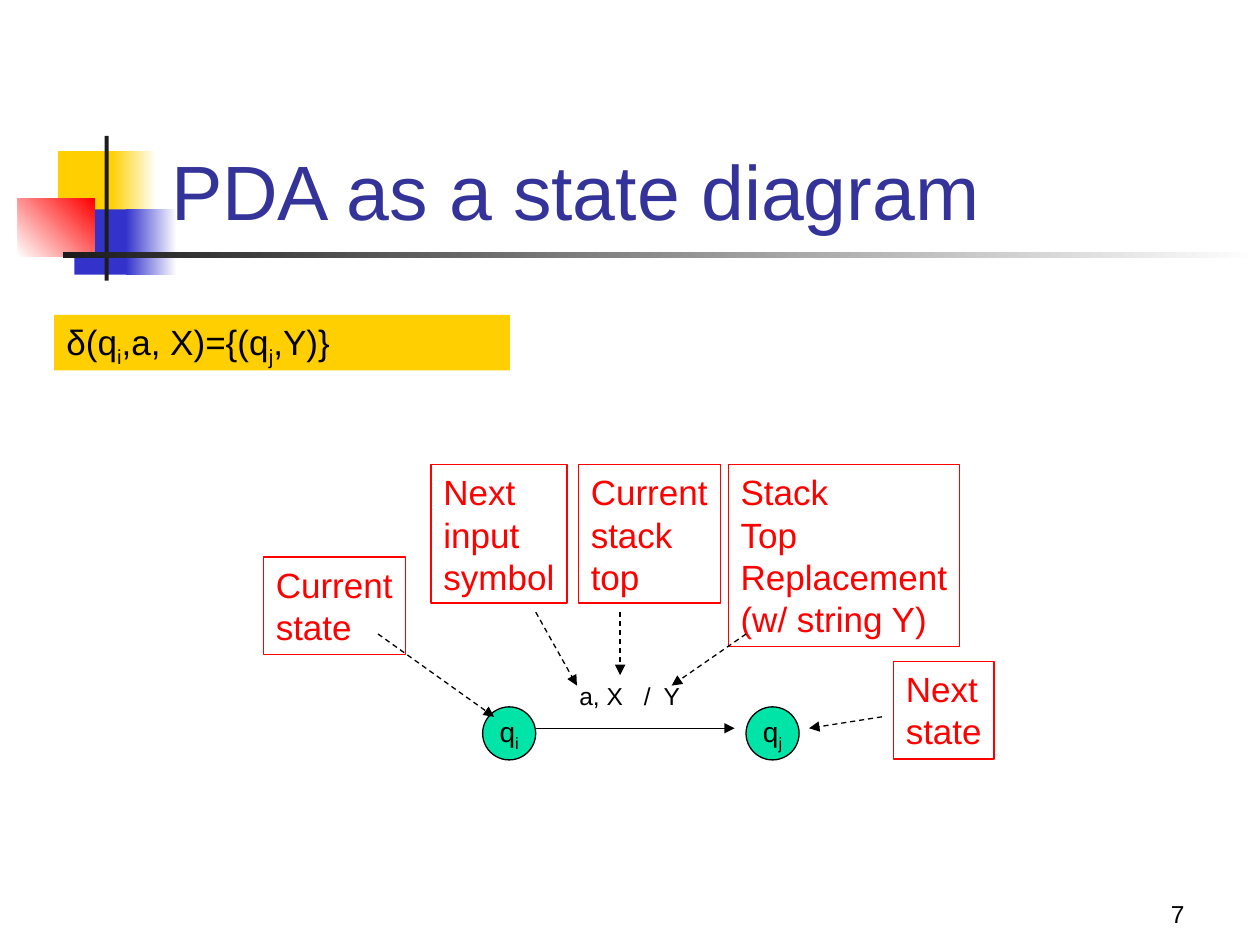
from lxml.etree import SubElement
from pptx import Presentation
from pptx.dml.color import RGBColor
from pptx.enum.dml import MSO_LINE
from pptx.enum.shapes import MSO_CONNECTOR, MSO_SHAPE
from pptx.enum.text import MSO_ANCHOR, PP_ALIGN
from pptx.oxml.ns import qn
from pptx.util import Cm, Pt

BLACK = RGBColor(0x00, 0x00, 0x00)
WHITE = RGBColor(0xFF, 0xFF, 0xFF)
CHARCOAL = RGBColor(0x1C, 0x1C, 0x1C)
YELLOW = RGBColor(0xFF, 0xCF, 0x01)
BLUE = RGBColor(0x33, 0x33, 0xCC)
TITLE_BLUE = RGBColor(0x33, 0x33, 0x99)
RED = RGBColor(0xFF, 0x00, 0x00)
GREEN = RGBColor(0x00, 0xE4, 0xA8)

DECORATIONS = [
    ((1.17, 3.05, 1.22, 1.32), [YELLOW], 0),
    ((2.24, 3.05, 0.91, 1.32), [YELLOW, WHITE], 0),
    ((1.5, 4.22, 1.17, 1.32), [BLUE], 0),
    ((2.54, 4.22, 1.02, 1.32), [BLUE, WHITE], 0),
    ((0.36, 4.01, 1.55, 1.17), [WHITE, RED], 45),
    ((2.11, 2.74, 0.08, 2.92), [CHARCOAL], 0),
    ((1.27, 5.08, 24.13, 0.13), [CHARCOAL, WHITE], 0),
]
CAPTIONS = [
    ("Current\vstate", (5.31, 11.23, 2.87, 1.96)),
    ("Next\vinput\vsymbol", (8.69, 9.37, 2.74, 2.79)),
    ("Current\nstack\vtop", (11.66, 9.37, 2.87, 2.79)),
    ("Stack\nTop\nReplacement\n(w/ string Y)", (14.68, 9.37, 4.67, 3.66)),
    ("Next\vstate", (18.01, 13.34, 2.03, 1.96)),
]
POINTERS = [
    (7.62, 12.78, 9.96, 14.45),
    (10.8, 12.34, 11.63, 13.82),
    (12.5, 12.34, 12.5, 13.61),
    (15.04, 12.78, 13.54, 13.82),
    (17.78, 14.45, 16.31, 14.68),
]
STATES = [("q_i_", 9.73), ("q_j_", 15.04)]
STATE_TOP, STATE_SIZE = 14.25, 1.07


def apply(target, formats):
    for name, value in formats.items():
        setattr(target, name, value)


def lengths(values):
    return [Cm(value) for value in values]


def add_runs(paragraph, text, size, color):
    for index, part in enumerate(text.split("_")):
        if not part:
            continue
        run = paragraph.add_run()
        run.text = part
        apply(run.font, {"name": "Arial", "size": Pt(size)})
        run.font.color.rgb = color
        if index % 2:
            run.font._element.set("baseline", "-25000")


def write_text(shape, text, size, color, frame_formats=None, paragraph_formats=None):
    frame = shape.text_frame
    apply(frame, {"word_wrap": True, "vertical_anchor": MSO_ANCHOR.TOP, **(frame_formats or {})})
    for index, content in enumerate(text.split("\n")):
        paragraph = frame.paragraphs[0] if index == 0 else frame.add_paragraph()
        apply(paragraph, {"alignment": PP_ALIGN.LEFT, **(paragraph_formats or {})})
        for number, line in enumerate(content.split("\v")):
            if number:
                paragraph.add_line_break()
            add_runs(paragraph, line, size, color)


def add_text(slide, box, *text_arguments):
    shape = slide.shapes.add_textbox(*lengths(box))
    write_text(shape, *text_arguments)
    return shape


def add_block(slide, box, colors=(), angle=0, line_color=None, kind=MSO_SHAPE.RECTANGLE):
    shape = slide.shapes.add_shape(kind, *lengths(box))
    shape.shadow.inherit = False
    if len(colors) > 1:
        shape.fill.gradient()
        shape.fill.gradient_angle = angle
        for position, (stop, color) in enumerate(zip(shape.fill.gradient_stops, colors)):
            stop.color.rgb = color
            stop.position = position
    elif colors:
        shape.fill.solid()
        shape.fill.fore_color.rgb = colors[0]
    else:
        shape.fill.background()
    if line_color is None:
        shape.line.fill.background()
    else:
        shape.line.color.rgb = line_color
        shape.line.width = Pt(0.75)
    return shape


def add_arrow(slide, ends, dash=None):
    arrow = slide.shapes.add_connector(MSO_CONNECTOR.STRAIGHT, *lengths(ends))
    arrow.line.color.rgb = BLACK
    apply(arrow.line, {"width": Pt(0.75), "dash_style": dash})
    SubElement(arrow.line._get_or_add_ln(), qn("a:tailEnd"), type="triangle")
    SubElement(arrow._element.spPr, qn("a:effectLst"))


def add_state(slide, name, left):
    box = (left, STATE_TOP, STATE_SIZE, STATE_SIZE)
    state = add_block(slide, box, [GREEN], line_color=BLACK, kind=MSO_SHAPE.OVAL)
    write_text(state, name, 16, BLACK,
               {"word_wrap": False, "vertical_anchor": MSO_ANCHOR.MIDDLE},
               {"alignment": PP_ALIGN.CENTER})


def add_transition_label(slide):
    label = add_text(slide, (11.43, 13.61, 2.67, 0.86), "a, X\t/\tY", 14, BLACK)
    properties = label.text_frame.paragraphs[0]._p.get_or_add_pPr()
    tabs = SubElement(properties, qn("a:tabLst"))
    for position in (1.3, 1.7):
        SubElement(tabs, qn("a:tab"), pos=str(Cm(position)), algn="l")


def main():
    presentation = Presentation()
    apply(presentation, {"slide_width": Cm(25.4), "slide_height": Cm(19.05)})
    slide = presentation.slides.add_slide(presentation.slide_layouts[6])

    for box, colors, angle in DECORATIONS:
        add_block(slide, box, colors, angle)
    bottom = {"vertical_anchor": MSO_ANCHOR.BOTTOM}
    add_text(slide, (18.85, 17.58, 5.28, 1.27), "7", 14, BLACK, bottom,
             {"alignment": PP_ALIGN.RIGHT})
    add_text(slide, (3.2, 1.7, 21.64, 3.18), "PDA as a state diagram", 44, TITLE_BLUE, bottom)

    for name, left in STATES:
        add_state(slide, name, left)
    add_arrow(slide, (10.8, 14.68, 14.81, 14.68))
    add_transition_label(slide)
    for text, box in CAPTIONS:
        caption = add_block(slide, box, line_color=RED)
        write_text(caption, text, 20, RED, {"word_wrap": False})
    for ends in POINTERS:
        add_arrow(slide, ends, MSO_LINE.DASH)

    formula = add_block(slide, (1.09, 6.35, 9.19, 1.12), [YELLOW])
    write_text(formula, "δ(q_i_,a, X)={(q_j_,Y)}", 20, BLACK, None, {"line_spacing": 0.9})
    presentation.save("out.pptx")


if __name__ == "__main__":
    main()
